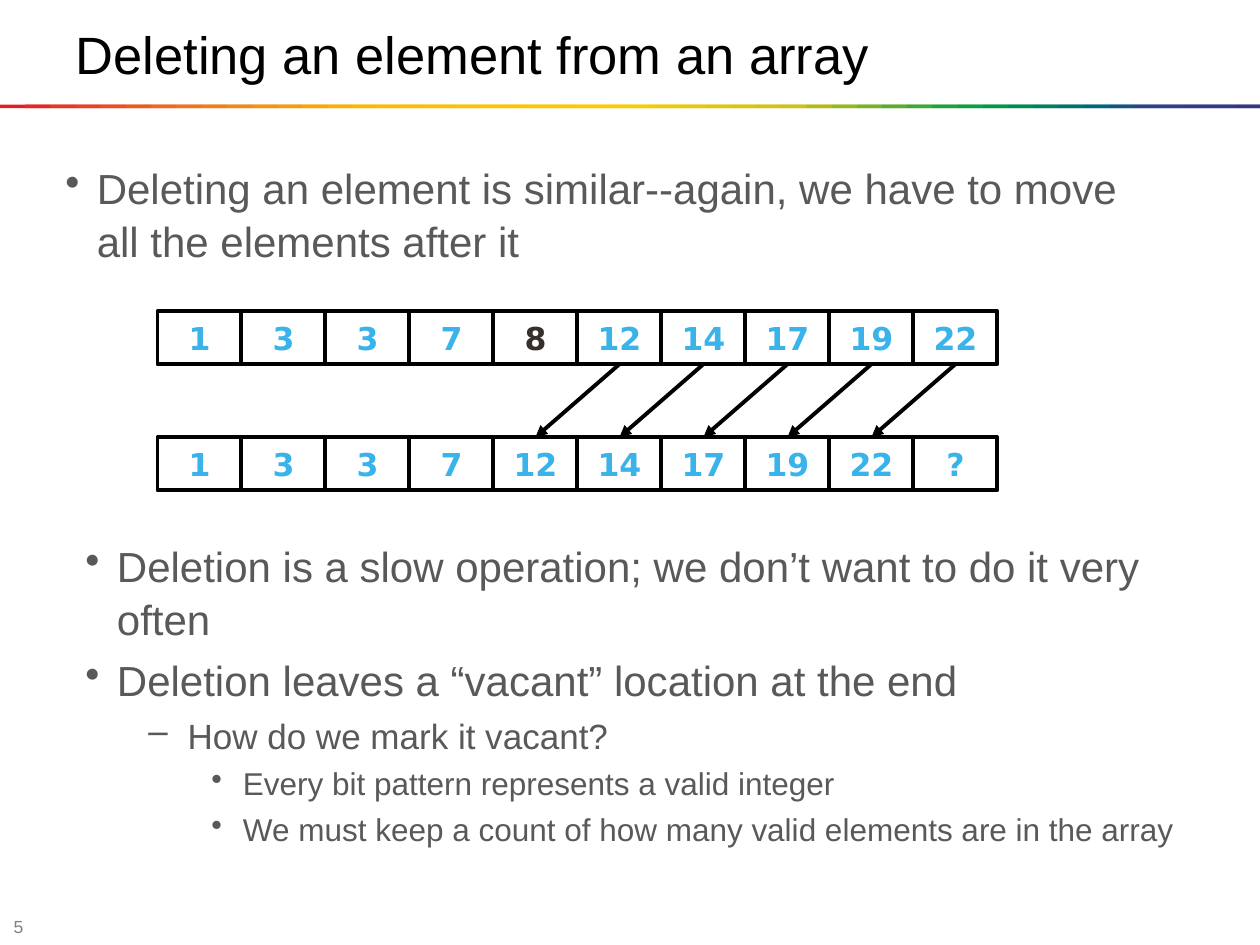
from lxml.etree import SubElement
from pptx import Presentation
from pptx.dml.color import RGBColor
from pptx.enum.shapes import MSO_CONNECTOR, MSO_SHAPE
from pptx.enum.text import MSO_ANCHOR, MSO_AUTO_SIZE, PP_ALIGN
from pptx.oxml.ns import qn
from pptx.util import Inches, Pt

BLACK = RGBColor(0x00, 0x00, 0x00)
GREY = RGBColor(0x59, 0x59, 0x59)
PALE_GREY = RGBColor(0x80, 0x80, 0x80)
BLUE = RGBColor(0x39, 0xB3, 0xE9)
DELETED = RGBColor(0x37, 0x30, 0x2A)
RAINBOW = [
    (0, RGBColor(0xE3, 0x1E, 0x24)),
    (7, RGBColor(0xEE, 0x74, 0x1D)),
    (14, RGBColor(0xFB, 0xBA, 0x00)),
    (24, RGBColor(0xFE, 0xCB, 0x00)),
    (31, RGBColor(0xCC, 0xC1, 0x17)),
    (37, RGBColor(0x1D, 0xA2, 0x40)),
    (39, RGBColor(0x00, 0x98, 0x46)),
    (43, RGBColor(0x00, 0x63, 0x7F)),
    (45, RGBColor(0x2E, 0x42, 0x85)),
    (50, RGBColor(0x39, 0x31, 0x85)),
]


def write(frame, text, size, color, font="Arial", bold=False, align=PP_ALIGN.LEFT,
          bullet=None, margin=0, hanging=0, level=0):
    paragraph = frame.paragraphs[0] if not frame.text else frame.add_paragraph()
    paragraph.alignment = align
    paragraph.level = level
    if bullet:
        paragraph.space_before = Pt(0.2 * size)
        paragraph.line_spacing = 1.05
        properties = paragraph._p.get_or_add_pPr()
        properties.set("marL", str(Inches(margin)))
        properties.set("indent", str(-Inches(hanging)))
        SubElement(properties, qn("a:buChar"), char=bullet)
    run = paragraph.add_run()
    run.text = text
    run.font.size = Pt(size)
    run.font.name = font
    run.font.bold = bold
    run.font.color.rgb = color


def add_text_area(left, top, width, height, anchor=MSO_ANCHOR.TOP):
    area = slide.shapes.add_textbox(Inches(left), Inches(top), Inches(width), Inches(height))
    area.text_frame.word_wrap = True
    area.text_frame.vertical_anchor = anchor
    return area.text_frame


deck = Presentation()
deck.slide_width = Inches(10)
deck.slide_height = Inches(7.5)
slide = deck.slides.add_slide(deck.slide_layouts[5])

title = slide.shapes.title
title.left, title.top = Inches(0.5), Inches(0.12)
title.width, title.height = Inches(9), Inches(0.61)
title.text_frame.auto_size = MSO_AUTO_SIZE.NONE
title.text_frame.vertical_anchor = MSO_ANCHOR.MIDDLE
write(title.text_frame, "Deleting an element from an array", 30, BLACK)

page_number = add_text_area(0.01, 7.27, 0.39, 0.16, MSO_ANCHOR.MIDDLE)
write(page_number, "5", 10, PALE_GREY)

rainbow = slide.shapes.add_group_shape()
for (first, start), (last, end) in zip(RAINBOW, RAINBOW[1:]):
    for step in range(first, last):
        share = (step - first) / (last - first)
        left = 0.2 * step
        band = rainbow.shapes.add_shape(
            MSO_SHAPE.RECTANGLE, Inches(left), Inches(0.83),
            Inches(min(0.4, 10 - left)), Inches(0.03))
        band.shadow.inherit = False
        band.fill.solid()
        band.fill.fore_color.rgb = RGBColor(
            *(round(a + (b - a) * share) for a, b in zip(start, end)))
        band.line.fill.background()

intro = add_text_area(0.42, 1.22, 8.67, 1)
write(intro, "Deleting an element is similar--again, we have to move all the elements after it",
      24, GREY, bullet="•", margin=0.25, hanging=0.25)

LEVELS = [
    dict(size=24, bullet="•", margin=0.25, hanging=0.25),
    dict(size=20, bullet="–", margin=0.81, hanging=0.31),
    dict(size=18, bullet="•", margin=1.25, hanging=0.25),
]
CONSEQUENCES = [
    (0, "Deletion is a slow operation; we don’t want to do it very often"),
    (0, "Deletion leaves a “vacant” location at the end"),
    (1, "How do we mark it vacant?"),
    (2, "Every bit pattern represents a valid integer"),
    (2, "We must keep a count of how many valid elements are in the array"),
]
consequences = add_text_area(0.58, 4.22, 9.08, 2.58)
for level, text in CONSEQUENCES:
    write(consequences, text, color=GREY, level=level, **LEVELS[level])

ARRAY_LEFT, CELL_WIDTH, CELL_HEIGHT = 1.25, 2 / 3, 0.42
BEFORE_TOP, AFTER_TOP = 2.47, 3.47
before = ["1", "3", "3", "7", "8", "12", "14", "17", "19", "22"]
deleted = before.index("8")
after = before[:deleted] + before[deleted + 1:] + ["?"]

for top, values in ((BEFORE_TOP, before), (AFTER_TOP, after)):
    array = slide.shapes.add_group_shape()
    for index, value in enumerate(values):
        cell = array.shapes.add_shape(
            MSO_SHAPE.RECTANGLE, Inches(ARRAY_LEFT + index * CELL_WIDTH), Inches(top),
            Inches(CELL_WIDTH), Inches(CELL_HEIGHT))
        cell.shadow.inherit = False
        cell.fill.background()
        cell.line.color.rgb = BLACK
        cell.line.width = Pt(2.25)
        cell.text_frame.word_wrap = False
        cell.text_frame.vertical_anchor = MSO_ANCHOR.MIDDLE
        write(cell.text_frame, value, 18, DELETED if value == "8" else BLUE,
              font="DejaVu Sans", bold=True, align=PP_ALIGN.CENTER)

for index in range(deleted + 1, len(before)):
    center = ARRAY_LEFT + (index + 0.5) * CELL_WIDTH
    move = slide.shapes.add_connector(
        MSO_CONNECTOR.STRAIGHT, Inches(center), Inches(BEFORE_TOP + CELL_HEIGHT),
        Inches(center - CELL_WIDTH), Inches(AFTER_TOP))
    move.line.color.rgb = BLACK
    move.line.width = Pt(2.25)
    SubElement(move.line._get_or_add_ln(), qn("a:tailEnd"), type="triangle")
    SubElement(move._element.spPr, qn("a:effectLst"))

deck.save("out.pptx")
